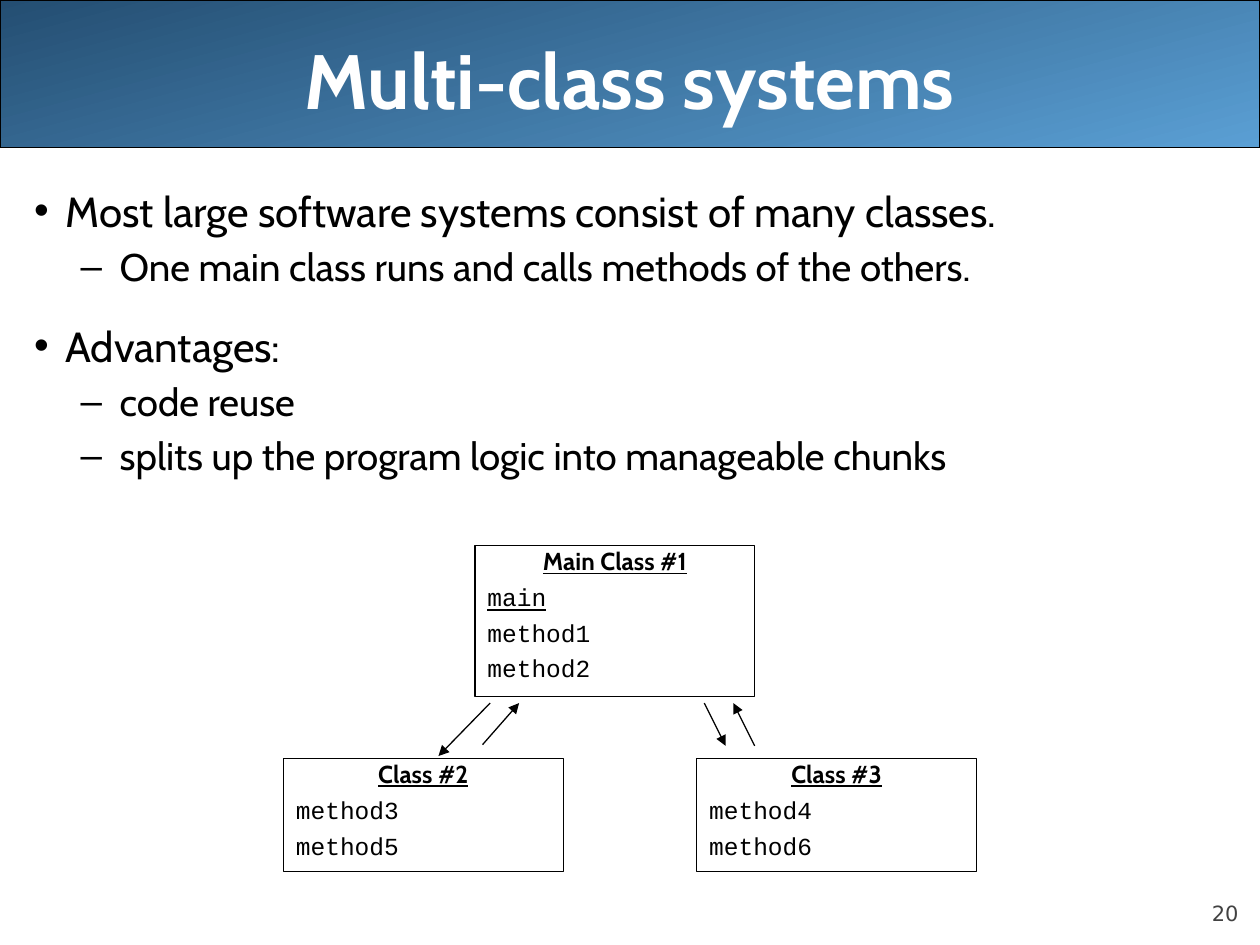
from lxml.etree import SubElement as Sub
from pptx import Presentation
from pptx.dml.color import RGBColor
from pptx.enum.shapes import MSO_CONNECTOR as Conn, MSO_SHAPE as Shape
from pptx.enum.text import MSO_ANCHOR as Anchor, MSO_AUTO_SIZE as Auto, PP_ALIGN as Align
from pptx.oxml.ns import qn
from pptx.util import Inches, Pt

BLACK = "000000"
BULLETS = {0: ("•", 0.25, -0.25, 24), 1: ("–", 0.68, -0.31, 22)}
BODY = [
    (0, 0, "Most large software systems consist of many classes."),
    (1, 4.4, "One main class runs and calls methods of the others."),
    (0, 17.5, "Advantages:"),
    (1, 4.4, "code reuse"),
    (1, 4.4, "splits up the program logic into manageable chunks"),
]
CLASSES = [
    (3.77, 4.33, 1.2, "Main Class #1", ["main", "method1", "method2"]),
    (2.25, 6.02, 0.9, "Class #2", ["method3", "method5"]),
    (5.53, 6.02, 0.9, "Class #3", ["method4", "method6"]),
]
CALLS = [
    (3.89, 5.58, 3.48, 6),
    (3.83, 5.91, 4.12, 5.58),
    (5.59, 5.58, 5.76, 5.92),
    (5.99, 5.92, 5.82, 5.58),
]


def rgb(color):
    """Turn a hex string into a colour."""
    return RGBColor.from_string(color)


def set_attrs(obj, values):
    """Set every attribute named in a dict."""
    for name, value in values.items():
        setattr(obj, name, value)


def place(sp, x, y, w, h):
    """Position a shape in inches."""
    values = dict(left=x, top=y, width=w, height=h)
    set_attrs(sp, {name: Inches(value) for name, value in values.items()})


def add_run(p, text, size, color=BLACK, name="Cabin", **font):
    """Add a formatted run to a paragraph."""
    r = p.add_run()
    r.text = text
    set_attrs(r.font, dict(size=Pt(size), name=name, **font))
    r.font.color.rgb = rgb(color)


def next_paragraph(tf, first, **values):
    """Return the first paragraph or a new one, formatted."""
    p = tf.paragraphs[0] if first else tf.add_paragraph()
    set_attrs(p, values)
    return p


def set_line(line):
    """Give an outline or connector its thin black stroke."""
    line.color.rgb = rgb(BLACK)
    line.width = Pt(0.75)


def add_bar(s):
    """Draw the gradient bar behind the title."""
    sp = s.shapes.add_shape(Shape.ROUNDED_RECTANGLE, 0, 0, Inches(10), Inches(1.17))
    sp.adjustments[0] = 0
    sp.shadow.inherit = False
    sp.fill.gradient()
    sp.fill.gradient_angle = 285
    for stop, color, position in zip(sp.fill.gradient_stops, ("244E72", "5A9FD4"), (0, 1)):
        stop.color.rgb = rgb(color)
        stop.position = position
    set_line(sp.line)
    s.shapes._spTree.insert(2, sp._element)


def fill_title(sp, text):
    """Place and write the slide title."""
    place(sp, 0.5, 0, 9, 1.25)
    set_attrs(sp.text_frame, dict(vertical_anchor=Anchor.MIDDLE, auto_size=Auto.NONE))
    p = next_paragraph(sp.text_frame, True, alignment=Align.CENTER)
    add_run(p, text, 44, "FFFFFF", bold=True)


def set_bullet(p, char, margin, indent):
    """Give a paragraph its bullet and hanging indent."""
    pPr = p._p.get_or_add_pPr()
    pPr.set("marL", str(Inches(margin)))
    pPr.set("indent", str(Inches(indent)))
    Sub(Sub(pPr, qn("a:buClr")), qn("a:srgbClr"), val=BLACK)
    Sub(pPr, qn("a:buChar"), char=char)


def fill_body(sp, items):
    """Place and write the bulleted list."""
    place(sp, 0.17, 1.42, 9.83, 5.67)
    sp.text_frame.auto_size = Auto.NONE
    for i, (level, before, text) in enumerate(items):
        char, margin, indent, size = BULLETS[level]
        p = next_paragraph(sp.text_frame, i == 0, level=level, space_before=Pt(before))
        set_bullet(p, char, margin, indent)
        add_run(p, text, size)


def add_class(s, x, y, h, name, methods):
    """Draw a class box with its name and methods."""
    sp = s.shapes.add_shape(Shape.RECTANGLE, *map(Inches, (x, y, 2.22, h)))
    sp.shadow.inherit = False
    sp.fill.background()
    set_line(sp.line)
    tf = sp.text_frame
    set_attrs(tf, dict(word_wrap=True, vertical_anchor=Anchor.TOP))
    p = next_paragraph(tf, True, alignment=Align.CENTER, line_spacing=0.8)
    add_run(p, name, 14, bold=True, underline=True)
    for method in methods:
        p = next_paragraph(tf, False, alignment=Align.LEFT, line_spacing=0.8, space_before=Pt(7))
        add_run(p, method, 14, name="Courier New", underline=method == "main")


def add_arrow(s, *ends):
    """Draw an arrow between two points."""
    c = s.shapes.add_connector(Conn.STRAIGHT, *map(Inches, ends))
    set_line(c.line)
    Sub(c.line._get_or_add_ln(), qn("a:tailEnd"), type="triangle")
    Sub(c._element.spPr, qn("a:effectLst"))


def add_number(s, text):
    """Write the slide number in the lower right corner."""
    sp = s.shapes.add_textbox(*map(Inches, (9, 6.95, 0.83, 0.4)))
    tf = sp.text_frame
    margins = dict.fromkeys(("margin_left", "margin_top", "margin_right", "margin_bottom"), 0)
    set_attrs(tf, dict(word_wrap=True, vertical_anchor=Anchor.BOTTOM, **margins))
    p = next_paragraph(tf, True, alignment=Align.RIGHT)
    add_run(p, text, 12, "424242", "DejaVu Sans")


def main():
    """Build the slide and save it."""
    prs = Presentation()
    set_attrs(prs, dict(slide_width=Inches(10), slide_height=Inches(7.5)))
    s = prs.slides.add_slide(prs.slide_layouts[1])
    add_bar(s)
    fill_title(s.shapes.title, "Multi-class systems")
    fill_body(s.placeholders[1], BODY)
    for box in CLASSES:
        add_class(s, *box)
    for ends in CALLS:
        add_arrow(s, *ends)
    add_number(s, "20")
    prs.save("out.pptx")


if __name__ == "__main__":
    main()
